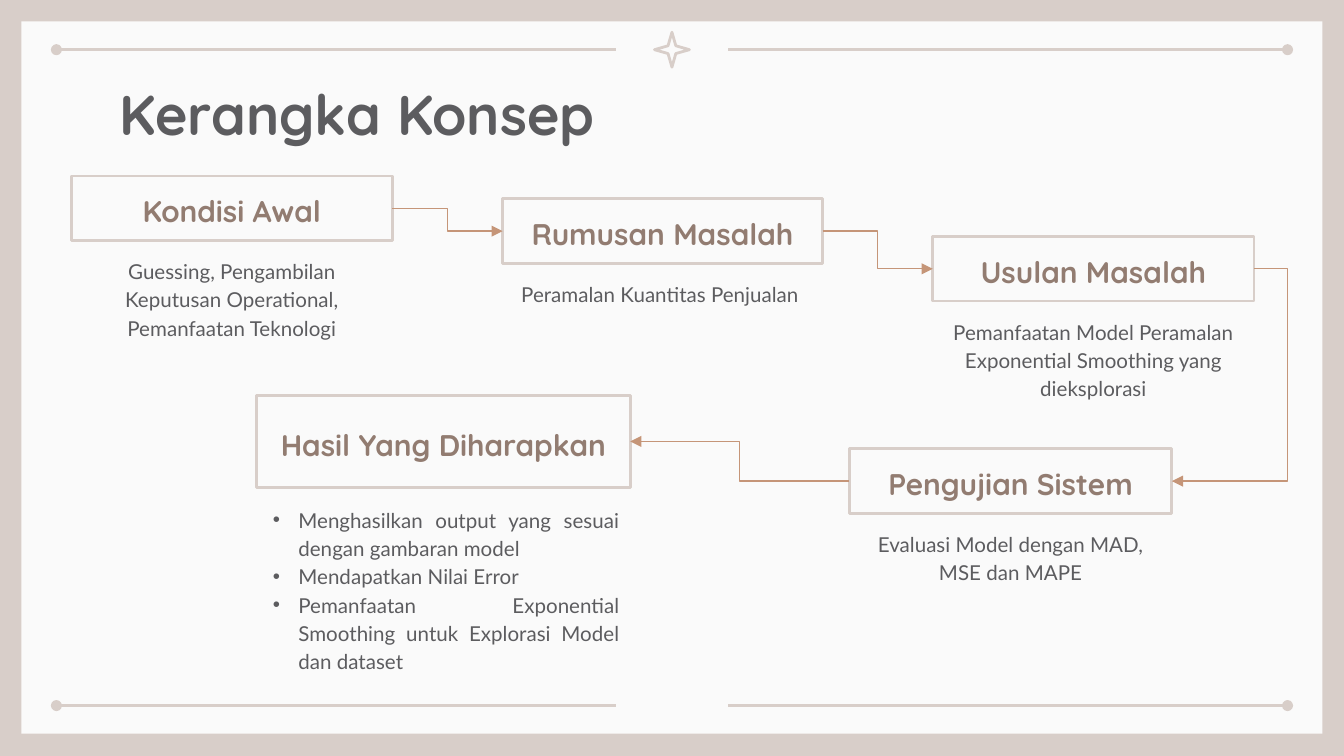
from dataclasses import dataclass

from lxml import etree
from pptx import Presentation
from pptx import util as u
from pptx.dml import color
from pptx.enum import shapes, text
from pptx.oxml import ns

In = u.Inches


@dataclass(frozen=True)
class Theme:
    sand: str = "D8CEC9"
    paper: str = "FAFAFA"
    ink: str = "5C5C5F"
    brown: str = "927C71"
    arrow: str = "C59578"
    head: str = "Quicksand"
    body: str = "Lato"
    big: int = 30
    mid: int = 16
    small: int = 11
    thick: float = 1.5
    thin: float = 0.75


T = Theme()


def rgb(code):
    return color.RGBColor.from_string(code)


def sub(node, tag, **attrs):
    return etree.SubElement(node, ns.qn(tag), attrs)


def place(shape, box):
    shape.left, shape.top, shape.width, shape.height = map(In, box)
    shape._element.getparent().append(shape._element)


def write(shape, lines, font, size, tint, bold=False, align=text.PP_ALIGN.CENTER,
          space=1.15, anchor=text.MSO_ANCHOR.TOP):
    frame = shape.text_frame
    frame.text = "\n".join(lines)
    frame.word_wrap = True
    frame.auto_size = text.MSO_AUTO_SIZE.NONE
    frame.vertical_anchor = anchor
    frame.margin_left = frame.margin_right = In(0.1)
    frame.margin_top = frame.margin_bottom = In(0.1)
    for para in frame.paragraphs:
        para.alignment = align
        para.line_spacing = space
        para.space_before = u.Pt(0)
        for run in para.runs:
            run.font.name = font
            run.font.size = u.Pt(size)
            run.font.bold = bold
            run.font.color.rgb = rgb(tint)


def outline(slide, kind, box, fill=None, line=None):
    shape = slide.shapes.add_shape(kind, *map(In, box))
    shape.shadow.inherit = False
    if fill:
        shape.fill.solid()
        shape.fill.fore_color.rgb = rgb(fill)
    else:
        shape.fill.background()
    if line:
        shape.line.color.rgb = rgb(line)
        shape.line.width = u.Pt(T.thick)
    else:
        shape.line.fill.background()
    return shape


def link(slide, kind, start, end, tint, width, tip, bend=None):
    line = slide.shapes.add_connector(kind, *map(In, start + end))
    line.line.color.rgb = rgb(tint)
    line.line.width = u.Pt(width)
    props = line._element.spPr
    sub(props.find(ns.qn("a:ln")), "a:tailEnd", type=tip)
    sub(props, "a:effectLst")
    if bend is not None:
        guides = props.find(ns.qn("a:prstGeom")).get_or_add_avLst()
        sub(guides, "a:gd", name="adj1", fmla=f"val {round(bend * 100000)}")


def border(slide, box):
    left, top, width, height = box
    outline(slide, shapes.MSO_SHAPE.RECTANGLE, box, fill=T.paper)
    mid = left + width / 2
    for y in (top + 0.21, top + height - 0.21):
        for side in (-1, 1):
            link(slide, shapes.MSO_CONNECTOR.STRAIGHT, (mid + side * 0.42, y),
                 (mid + side * 4.58, y), T.sand, T.thick, "oval")
    star = outline(slide, shapes.MSO_SHAPE.STAR_4_POINT,
                   (mid - 0.13, top + 0.08, 0.26, 0.26), line=T.sand)
    star.adjustments[0] = 0.157


def title(slide, box, words):
    shape = slide.shapes.title
    place(shape, box)
    write(shape, [words], T.head, T.big, T.ink, True, text.PP_ALIGN.LEFT, 1.0)


def label(slide, box, words):
    shape = outline(slide, shapes.MSO_SHAPE.RECTANGLE, box, line=T.sand)
    write(shape, [words], T.head, T.mid, T.brown, True,
          anchor=text.MSO_ANCHOR.MIDDLE)


def stage(slide, box, words, note):
    left, top, width, height = box
    label(slide, box, words)
    area = slide.shapes.add_textbox(
        *map(In, (left, top + height + 0.01, width, 0.69)))
    write(area, [note], T.body, T.small, T.ink)


def result(slide, box, words, items):
    left, top, width, height = box
    label(slide, box, words)
    area = slide.placeholders[1]
    place(area, (left + 0.02, top + height + 0.02, width, 1.43))
    write(area, items, T.body, T.small, T.ink, align=text.PP_ALIGN.JUSTIFY)
    for para in area.text_frame.paragraphs:
        props = para._p.get_or_add_pPr()
        props.set("marL", str(In(0.19)))
        props.set("indent", str(-In(0.19)))
        tint = sub(props, "a:buClr")
        sub(tint, "a:srgbClr", val=T.ink)
        sub(props, "a:buFont", typeface="Arial")
        sub(props, "a:buChar", char="•")


def edge(box, right):
    left, top, width, height = box
    return left + width * right, top + height / 2


def flow(slide, boxes):
    exits = ((1, 0, 0.5), (1, 0, 0.5), (1, 1, -0.41), (0, 1, 0.5))
    for here, there, (out, into, bend) in zip(boxes, boxes[1:], exits):
        link(slide, shapes.MSO_CONNECTOR.ELBOW, edge(here, out),
             edge(there, into), T.arrow, T.thin, "triangle", bend)


def main():
    deck = Presentation()
    deck.slide_width = In(10)
    deck.slide_height = In(10) * 9 // 16
    slide = deck.slides.add_slide(deck.slide_layouts[1])
    slide.background.fill.solid()
    slide.background.fill.fore_color.rgb = rgb(T.sand)

    border(slide, (0.16, 0.16, 9.68, 5.3))
    title(slide, (0.79, 0.49, 8.43, 0.63), "Kerangka Konsep")
    stages = (
        ((0.53, 1.31, 2.39, 0.48), "Kondisi Awal",
         "Guessing, Pengambilan Keputusan Operational, Pemanfaatan Teknologi"),
        ((3.74, 1.48, 2.38, 0.48), "Rumusan Masalah",
         "Peramalan Kuantitas Penjualan "),
        ((6.94, 1.76, 2.39, 0.48), "Usulan Masalah",
         "Pemanfaatan Model Peramalan Exponential Smoothing yang dieksplorasi"),
        ((6.32, 3.34, 2.4, 0.48), "Pengujian Sistem",
         "Evaluasi Model dengan MAD, MSE dan MAPE"),
    )
    for box, words, note in stages:
        stage(slide, box, words, note)
    goal = (1.91, 2.94, 2.78, 0.69)
    result(slide, goal, "Hasil Yang Diharapkan", (
        "Menghasilkan output yang sesuai dengan gambaran model",
        "Mendapatkan Nilai Error",
        "Pemanfaatan Exponential Smoothing untuk Explorasi Model dan dataset",
    ))
    flow(slide, [box for box, _, _ in stages] + [goal])
    deck.save("out.pptx")


if __name__ == "__main__":
    main()
